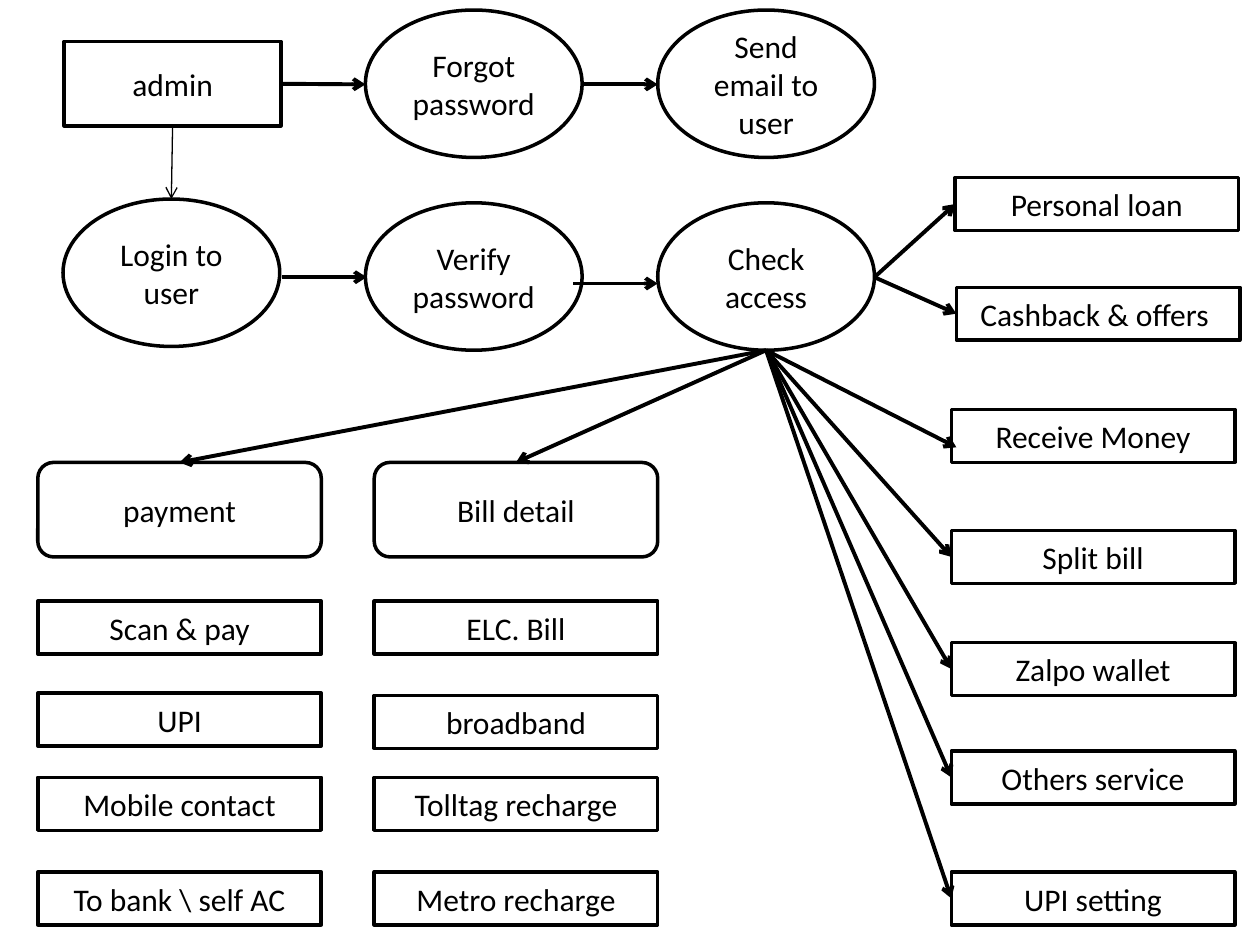
from lxml import etree
from pptx import Presentation
from pptx.dml.color import RGBColor
from pptx.enum.shapes import MSO_CONNECTOR, MSO_SHAPE
from pptx.enum.text import MSO_ANCHOR, PP_ALIGN
from pptx.oxml.ns import qn
from pptx.util import Inches, Pt

RECTANGLE = MSO_SHAPE.RECTANGLE
ROUNDED = MSO_SHAPE.ROUNDED_RECTANGLE
ELLIPSE = MSO_SHAPE.OVAL
STRAIGHT = MSO_CONNECTOR.STRAIGHT
MIDDLE = MSO_ANCHOR.MIDDLE
CENTER = PP_ALIGN.CENTER
TOP, LEFT, BOTTOM, RIGHT = range(4)

COLORS = {"fill": "FFFFFF", "line": "000000", "text": "000000"}


class FlowChart:
    """Holds the style and the current slide."""

    font = "Calibri"
    font_size = Pt(18)
    outline = Pt(2)

    def __init__(self, slide):
        self.slide = slide

    def color(self, name):
        return RGBColor.from_string(COLORS[name])

    def node(self, kind, text, left, top, width, height):
        shape = self.slide.shapes.add_shape(
            kind, Inches(left), Inches(top), Inches(width), Inches(height))
        shape.shadow.inherit = False
        shape.fill.solid()
        shape.fill.fore_color.rgb = self.color("fill")
        shape.line.color.rgb = self.color("line")
        shape.line.width = self.outline
        text_frame = shape.text_frame
        text_frame.text = text
        text_frame.word_wrap = True
        text_frame.vertical_anchor = MIDDLE
        paragraph = text_frame.paragraphs[0]
        paragraph.alignment = CENTER
        font = paragraph.runs[0].font
        font.name = self.font
        font.size = self.font_size
        font.color.rgb = self.color("text")
        return shape

    def step(self, text, left, top):
        return self.node(ELLIPSE, text, left, top, 1.72, 1.17)

    def group(self, text, left, top):
        return self.node(ROUNDED, text, left, top, 2.25, 0.75)

    def option(self, text, left, top):
        return self.node(RECTANGLE, text, left, top, 2.25, 0.42)

    def arrow(self, start, end, source=None, target=None, width=2.25):
        """source and target are optional (shape, side) pairs to join."""
        connector = self.slide.shapes.add_connector(
            STRAIGHT, *(Inches(value) for value in (*start, *end)))
        if source:
            connector.begin_connect(*source)
        if target:
            connector.end_connect(*target)
        connector.line.color.rgb = self.color("line")
        connector.line.width = Pt(width)
        line = connector.line._get_or_add_ln()
        etree.SubElement(line, qn("a:tailEnd"), type="arrow")
        etree.SubElement(connector._element.spPr, qn("a:effectLst"))


def main():
    presentation = Presentation()
    presentation.slide_width = Inches(10)
    presentation.slide_height = Inches(7.5)
    chart = FlowChart(presentation.slides.add_slide(presentation.slide_layouts[6]))

    # Login and password steps
    admin = chart.node(RECTANGLE, "admin", 0.51, 0.33, 1.72, 0.67)
    for text, left, top in [
        ("Forgot password", 2.9, 0.08),
        ("Send email to user", 5.22, 0.08),
        ("Login to user", 0.5, 1.58),
        ("Verify password", 2.9, 1.61),
        ("Check access", 5.22, 1.61),
    ]:
        chart.step(text, left, top)

    # Payment and bill columns
    columns = [
        ("payment", 0.3, [("Scan & pay", 4.77), ("UPI", 5.5),
                          ("Mobile contact", 6.17), ("To bank \\ self AC", 6.92)]),
        ("Bill detail", 2.97, [("ELC. Bill", 4.77), ("broadband", 5.52),
                               ("Tolltag recharge", 6.17), ("Metro recharge", 6.92)]),
    ]
    groups = []
    for title, left, options in columns:
        groups.append((chart.group(title, left, 3.67), left))
        for text, top in options:
            chart.option(text, left, top)

    # Arrows between the steps
    chart.arrow((2.23, 0.67), (2.9, 0.67), source=(admin, RIGHT))
    chart.arrow((4.62, 0.67), (5.22, 0.67))
    chart.arrow((4.55, 2.25), (5.22, 2.25))
    chart.arrow((2.24, 2.2), (2.91, 2.2))
    chart.arrow((1.37, 1), (1.36, 1.58), source=(admin, BOTTOM), width=0.75)

    # Arrows from the access check to the two columns
    access_right, access_bottom = (6.94, 2.2), (6.08, 2.78)
    for group, left in groups:
        chart.arrow(access_bottom, (left + 1.12, 3.67), target=(group, TOP))

    # Services reached from the access check
    for text, left, top, start in [
        ("Personal loan", 7.58, 1.41, access_right),
        ("Cashback & offers ", 7.59, 2.28, access_right),
        ("Split bill", 7.55, 4.21, access_bottom),
        ("Zalpo wallet", 7.55, 5.1, access_bottom),
        ("Others service", 7.55, 5.96, access_bottom),
        ("UPI setting", 7.55, 6.92, access_bottom),
    ]:
        service = chart.option(text, left, top)
        chart.arrow(start, (left, top + 0.21), target=(service, LEFT))

    # This arrow ends just inside its box, below the middle
    chart.option("Receive Money", 7.55, 3.25)
    chart.arrow(access_bottom, (7.59, 3.55))

    presentation.save("out.pptx")


if __name__ == "__main__":
    main()
